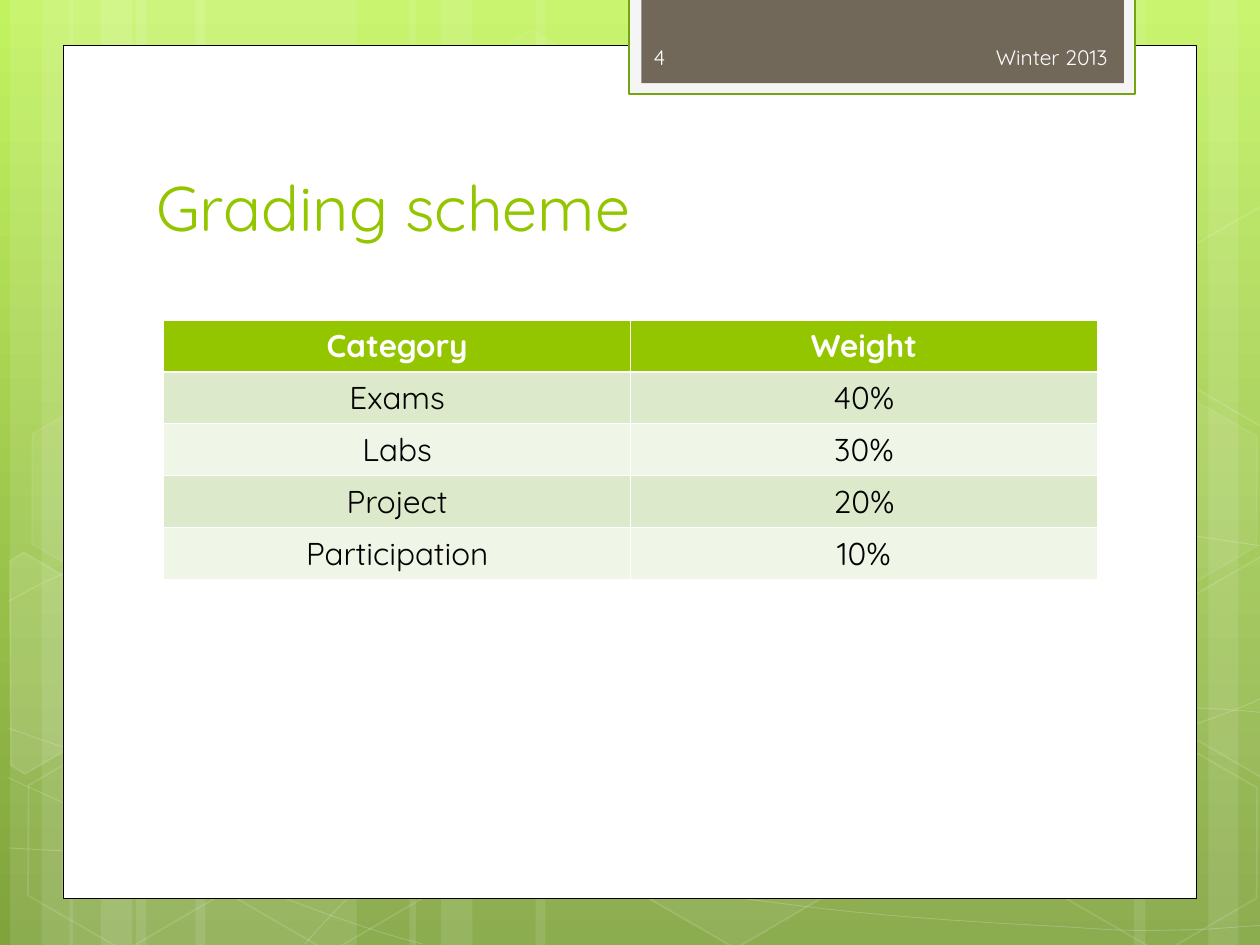
from math import cos, radians, sin

from pptx import Presentation
from pptx.dml.color import RGBColor
from pptx.enum.shapes import MSO_SHAPE as SHAPE
from pptx.enum.text import MSO_ANCHOR as ANCHOR, PP_ALIGN as ALIGN
from pptx.oxml import parse_xml
from pptx.oxml.ns import nsdecls, qn
from pptx.util import Inches, Pt

FONT = "Quicksand"
WHITE, GREEN = "FFFFFF", "94C600"
TILT = 30
STRIPES = [
    (1.08, 1.75), (0.08, 0.5), (0.33, 0.83), (1.55, 1.75), (0.55, 0.5), (0.8, 0.83),
    (7.34, 1.75), (9.59, 0.5), (9, 0.83), (4.25, 3.09), (3.25, 0.5), (3.5, 0.83),
]
CURVES = [
    [[(0.07, 6.73)], [(0.61, 6.76), (1.15, 6.79), (1.9, 6.78)],
     [(2.65, 6.77), (3.58, 6.75), (4.58, 6.65)], [(5.58, 6.55), (7, 6.36), (7.92, 6.17)],
     [(8.83, 5.98), (9.77, 5.68), (10.07, 5.51)]],
    [[(0.07, 4.77)], [(0.36, 4.61), (0.65, 4.46), (1.21, 4.31)],
     [(1.78, 4.16), (2.59, 3.94), (3.47, 3.87)], [(4.36, 3.8), (5.44, 3.79), (6.54, 3.87)],
     [(7.64, 3.95), (9.47, 4.26), (10.07, 4.34)]],
    [[(0.06, 6.17)], [(1.27, 6.72), (2.47, 7.27), (3.35, 7.49)]],
    [[(0.07, 5.78)], [(0.38, 5.89), (0.7, 6), (1.28, 6.16)],
     [(1.86, 6.31), (2.73, 6.56), (3.57, 6.73)], [(4.4, 6.9), (5.45, 7.08), (6.28, 7.18)],
     [(7.11, 7.29), (8, 7.33), (8.53, 7.36)], [(9.06, 7.4), (9.19, 7.38), (9.45, 7.38)],
     [(9.71, 7.37), (9.89, 7.35), (10.07, 7.34)]],
    [[(2.42, 7.49)], [(2.6, 7.29), (2.78, 7.09), (3.02, 6.91)],
     [(3.26, 6.72), (3.6, 6.53), (3.88, 6.39)], [(4.16, 6.25), (4.33, 6.19), (4.69, 6.09)],
     [(5.06, 5.99), (5.73, 5.85), (6.08, 5.78)], [(6.44, 5.71), (6.49, 5.71), (6.8, 5.69)],
     [(7.11, 5.66), (7.6, 5.63), (7.94, 5.62)], [(8.29, 5.61), (8.86, 5.62), (8.86, 5.62)],
     [(9.53, 5.62)], [(9.71, 5.63), (9.88, 5.64), (9.97, 5.65)],
     [(10.06, 5.66), (10.03, 5.65), (10.06, 5.66)]],
]
HEXAGONS = [
    (3.34, 0.36, 4, 8), (4.96, 5.89, 6, 12), (0.11, 5.91, 0, 12), (0.14, 3.12, 7, 8),
    (1.74, 5.92, 0, 12), (7.53, 4.53, 10, 12), (8.34, 5.93, 0, 12), (8.34, 3.14, 7, 8),
]
CUT_HEXAGONS = [
    ((0.36, 5.36), 10, [(0.08, 4.45), (0.19, 4.38), (0.96, 4.83), (0.95, 5.7),
                        (0.2, 6.14), (0.09, 6.07)]),
    ((9.85, 5.2), 4, [(9.26, 4.85), (10.02, 4.41), (10.09, 4.46), (10.09, 6.13),
                      (10.02, 6.17), (9.26, 5.73)]),
    ((9.85, 2.41), 0, [(9.26, 2.07), (10.02, 1.63), (10.1, 1.68), (10.09, 3.35),
                       (10.02, 3.39), (9.26, 2.95)]),
]
GRADES = [("Category", "Weight"), ("Exams", "40%"), ("Labs", "30%"),
          ("Project", "20%"), ("Participation", "10%")]


def color(value):
    """Turn a hex string into a colour."""
    return RGBColor.from_string(value)


def fade(props, opacity):
    """Set the opacity, in percent, of the solid fill inside props."""
    alpha = f'<a:alpha {nsdecls("a")} val="{opacity * 1000}"/>'
    props.find(qn("a:solidFill"))[0].append(parse_xml(alpha))


def paint(sp, fill=None, opacity=100, line=None, width=1, line_opacity=100):
    """Give a shape its fill and outline, without a shadow."""
    sp.shadow.inherit = False
    props = sp._element.spPr
    if fill and opacity:
        sp.fill.solid()
        sp.fill.fore_color.rgb = color(fill)
        if opacity < 100:
            fade(props, opacity)
    else:
        sp.fill.background()
    if line:
        sp.line.color.rgb = color(line)
        sp.line.width = Pt(width)
        if line_opacity < 100:
            fade(props.find(qn("a:ln")), line_opacity)
    else:
        sp.line.fill.background()


def add_shape(s, kind, x, y, w, h, **style):
    """Add a painted preset shape."""
    sp = s.shapes.add_shape(kind, Inches(x), Inches(y), Inches(w), Inches(h))
    paint(sp, **style)
    return sp


def add_path(s, points, close, **style):
    """Add a painted outline through the points."""
    start, *rest = [(Inches(x), Inches(y)) for x, y in points]
    builder = s.shapes.build_freeform(*start)
    builder.add_line_segments(rest, close=close)
    sp = builder.convert_to_shape()
    paint(sp, **style)
    return sp


def add_curve(s, segments, **style):
    """Add an open path whose three-point segments are Bezier curves."""
    sp = add_path(s, [point for seg in segments for point in seg], False, **style)
    steps = iter(list(sp._element.iter(qn("a:lnTo"))))
    for seg in segments[1:]:
        group = [next(steps) for _ in seg]
        if len(group) == 3:
            bezier = parse_xml(f'<a:cubicBezTo {nsdecls("a")}/>')
            group[0].addprevious(bezier)
            for step in group:
                bezier.append(step[0])
                step.getparent().remove(step)


def turn_back(points, center):
    """Rotate points about the center against the tilt."""
    cx, cy = center
    c, k = cos(radians(TILT)), sin(radians(TILT))
    return [(cx + (x - cx) * c + (y - cy) * k, cy - (x - cx) * k + (y - cy) * c)
            for x, y in points]


def write(tf, text, size=18, fill="000000", bold=False, align=ALIGN.LEFT):
    """Write one formatted paragraph into a text frame."""
    p = tf.paragraphs[0]
    p.alignment = align
    r = p.add_run()
    r.text = text
    r.font.name, r.font.size, r.font.bold = FONT, Pt(size), bold
    r.font.color.rgb = color(fill)


def add_text(s, text, x, y, w, h, **style):
    """Add a wrapped text box, centred vertically."""
    tf = s.shapes.add_textbox(Inches(x), Inches(y), Inches(w), Inches(h)).text_frame
    tf.word_wrap = True
    tf.vertical_anchor = ANCHOR.MIDDLE
    write(tf, text, **style)


def add_border(cell, side, width):
    """Draw a white border on one side of a cell."""
    cell._tc.get_or_add_tcPr().append(parse_xml(
        f'<a:ln{side} {nsdecls("a")} w="{Pt(width)}"><a:solidFill>'
        f'<a:srgbClr val="{WHITE}"/></a:solidFill></a:ln{side}>'))


def add_grades(s):
    """Add the table of categories and weights."""
    table = s.shapes.add_table(len(GRADES), 2, Inches(1.3), Inches(2.54),
                               Inches(7.41), Inches(2.06)).table
    for i, row in enumerate(GRADES):
        header = i == 0
        for j, text in enumerate(row):
            cell = table.cell(i, j)
            for side in "LRTB":
                heavy = (i, side) in ((0, "B"), (1, "T"))
                add_border(cell, side, 1.47 if heavy else 0.45)
            cell.fill.solid()
            band = "DCEACB" if i % 2 else "EFF5E7"
            cell.fill.fore_color.rgb = color(GREEN if header else band)
            write(cell.text_frame, text, fill=WHITE if header else "000000",
                  bold=header, align=ALIGN.CENTER)


def add_backdrop(s):
    """Add the gradient, stripes, curves and hexagons."""
    fill = s.background.fill
    fill.gradient()
    fill.gradient_angle = 270
    for stop, value in zip(fill.gradient_stops, ("C2F35F", "80A33D")):
        stop.color.rgb = color(value)
    for x, w in STRIPES:
        add_shape(s, SHAPE.RECTANGLE, x, 0, w, 7.5, fill=WHITE, opacity=10)
    for segments in CURVES:
        add_curve(s, segments, line=WHITE, width=0.5, line_opacity=20)
    for x, y, opacity, line_opacity in HEXAGONS:
        sp = add_shape(s, SHAPE.HEXAGON, x, y, 1.75, 1.52, fill=WHITE, opacity=opacity,
                       line=WHITE, line_opacity=line_opacity)
        sp.adjustments[0] = 0.285
        sp.rotation = TILT
    for center, opacity, points in CUT_HEXAGONS:
        sp = add_path(s, turn_back(points, center), True, fill=WHITE, opacity=opacity,
                      line=WHITE, line_opacity=12)
        sp.rotation = TILT


def main():
    """Build and save the slide."""
    prs = Presentation()
    prs.slide_width, prs.slide_height = Inches(10), Inches(7.5)
    s = prs.slides.add_slide(prs.slide_layouts[6])
    add_backdrop(s)
    add_shape(s, SHAPE.RECTANGLE, 0.5, 0.36, 9, 6.77, fill=WHITE, line="000000", width=0.5)
    add_shape(s, SHAPE.RECTANGLE, 4.99, -0.02, 4.02, 0.77, fill="F5F5F5",
              line="74A510", width=1.25)
    add_shape(s, SHAPE.RECTANGLE, 5.09, -0.02, 3.83, 0.68, fill="71685A")
    add_text(s, "Grading scheme", 1.14, 0.91, 7.68, 1.46, size=36, fill=GREEN)
    add_grades(s)
    add_text(s, "Winter 2013", 6.56, 0.25, 2.33, 0.4, size=12, fill="FEFEFE",
             align=ALIGN.RIGHT)
    add_text(s, "4", 5.09, 0.25, 1.46, 0.4, size=12, fill="FEFEFE")
    prs.save("out.pptx")


if __name__ == "__main__":
    main()
